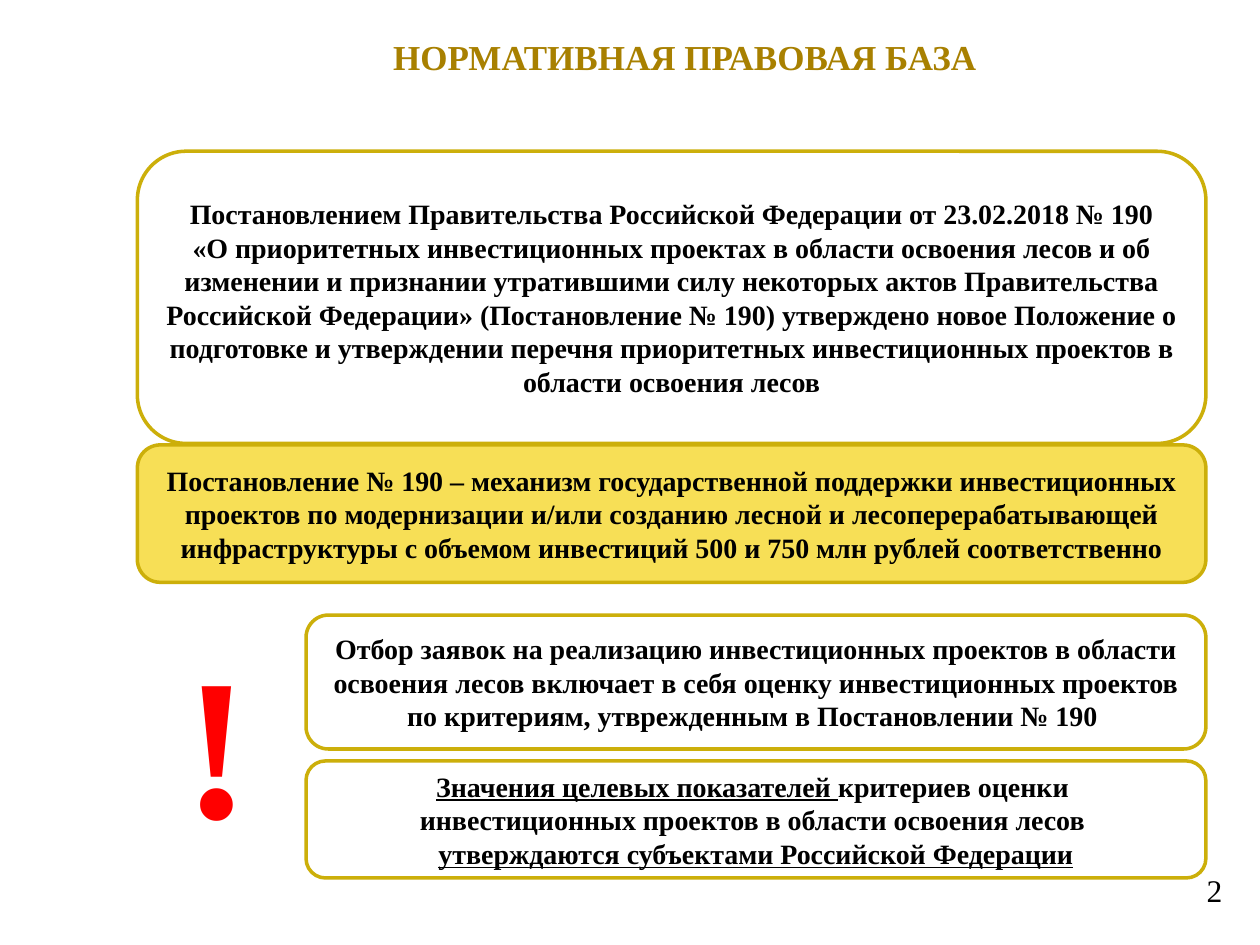
from pptx import Presentation
from pptx import util as u
from pptx.dml.color import RGBColor
from pptx.enum import shapes, text

COLORS = {"title": "A88000", "border": "CCAF0A", "accent": "F7DF56",
          "paper": "FFFFFF", "ink": "000000", "alert": "FF0000"}
ROUND = shapes.MSO_SHAPE.ROUNDED_RECTANGLE
PROCESS = shapes.MSO_SHAPE.FLOWCHART_ALTERNATE_PROCESS
CENTER, RIGHT = text.PP_ALIGN.CENTER, text.PP_ALIGN.RIGHT

deck = Presentation()
deck.slide_width, deck.slide_height = u.Cm(25.4), u.Cm(19.05)
slide = deck.slides.add_slide(deck.slide_layouts[6])


def write(holder, paragraphs, size, color="ink", bold=True, align=CENTER):
    """Each paragraph is a list of (words, underlined) runs; "\\n" breaks a line."""
    frame = holder.text_frame
    frame.word_wrap = True
    for number, runs in enumerate(paragraphs):
        paragraph = frame.add_paragraph() if number else frame.paragraphs[0]
        paragraph.alignment = align
        for words, underlined in runs:
            for row, line in enumerate(words.split("\n")):
                if row:
                    paragraph.add_line_break()
                run = paragraph.add_run()
                run.text = line
                look = {"name": "Times New Roman", "size": u.Pt(size),
                        "bold": bold, "underline": underlined}
                for key, value in look.items():
                    setattr(run.font, key, value)
                run.font.color.rgb = RGBColor.from_string(COLORS[color])


def add_panel(kind, place, fill=None, border=None):
    panel = slide.shapes.add_shape(kind, *map(u.Cm, place))
    panel.shadow.inherit = False
    panel.text_frame.vertical_anchor = text.MSO_ANCHOR.MIDDLE
    if fill:
        panel.fill.solid()
        panel.fill.fore_color.rgb = RGBColor.from_string(COLORS[fill])
    else:
        panel.fill.background()
    if border:
        panel.line.color.rgb = RGBColor.from_string(COLORS[border])
        panel.line.width = u.Pt(2)
    else:
        panel.line.fill.background()
    return panel


# Heading
heading = slide.shapes.add_textbox(u.Cm(2.72), u.Cm(0.6), u.Cm(22.17), u.Cm(3.18))
heading.text_frame.margin_left = heading.text_frame.margin_right = u.Cm(0.05)
write(heading, [[("НОРМАТИВНАЯ ПРАВОВАЯ БАЗА", False)]], 20, "title")

# Framed statements: wide ones above, indented ones below, one right edge
right_edge, wide_left, indented_left = 24.31, 2.77, 6.17
decree = [[(
    "Постановлением Правительства Российской Федерации от 23.02.2018 № 190\n"
    "«О приоритетных инвестиционных проектах в области освоения лесов и об "
    "изменении и признании утратившими силу некоторых актов Правительства "
    "Российской Федерации» (Постановление № 190) утверждено новое Положение о "
    "подготовке и утверждении перечня приоритетных инвестиционных проектов в "
    "области освоения лесов", False)]]
support = [[(
    "Постановление № 190 – механизм государственной поддержки инвестиционных "
    "проектов по модернизации и/или созданию лесной и лесоперерабатывающей "
    "инфраструктуры с объемом инвестиций 500 и 750 млн рублей соответственно", False)]]
selection = [[(
    "Отбор заявок на реализацию инвестиционных проектов в области освоения лесов "
    "включает в себя оценку инвестиционных проектов по критериям, утврежденным "
    "в Постановлении № 190 ", False)]]
targets = [
    [("Значения целевых показателей ", True), ("критериев оценки ", False)],
    [("инвестиционных проектов в области освоения лесов ", False)],
    [("утверждаются субъектами Российской Федерации", True)],
]
for kind, left, top, height, fill, statement, first_indent in [
    (PROCESS, wide_left, 3.05, 5.89, "paper", decree, -0.85),
    (PROCESS, indented_left, 12.4, 2.7, "paper", selection, 0),
    (ROUND, indented_left, 15.34, 2.36, None, targets, 0),
    (ROUND, wide_left, 8.97, 2.77, "accent", support, 0),
]:
    panel = add_panel(kind, (left, top, right_edge - left, height), fill, "border")
    write(panel, statement, 16)
    if first_indent:
        opening = panel.text_frame.paragraphs[0]
        opening._p.get_or_add_pPr().set("indent", str(u.Cm(first_indent)))

# Exclamation mark
exclamation = add_panel(ROUND, (3.36, 12.39, 1.7, 4.98))
write(exclamation, [[("!", False)]], 115, "alert")

# Page number
page_number = slide.shapes.add_textbox(u.Cm(18.97), u.Cm(17.43), u.Cm(5.92), u.Cm(1.32))
write(page_number, [[("2", False)]], 18, bold=False, align=RIGHT)

deck.save("out.pptx")
